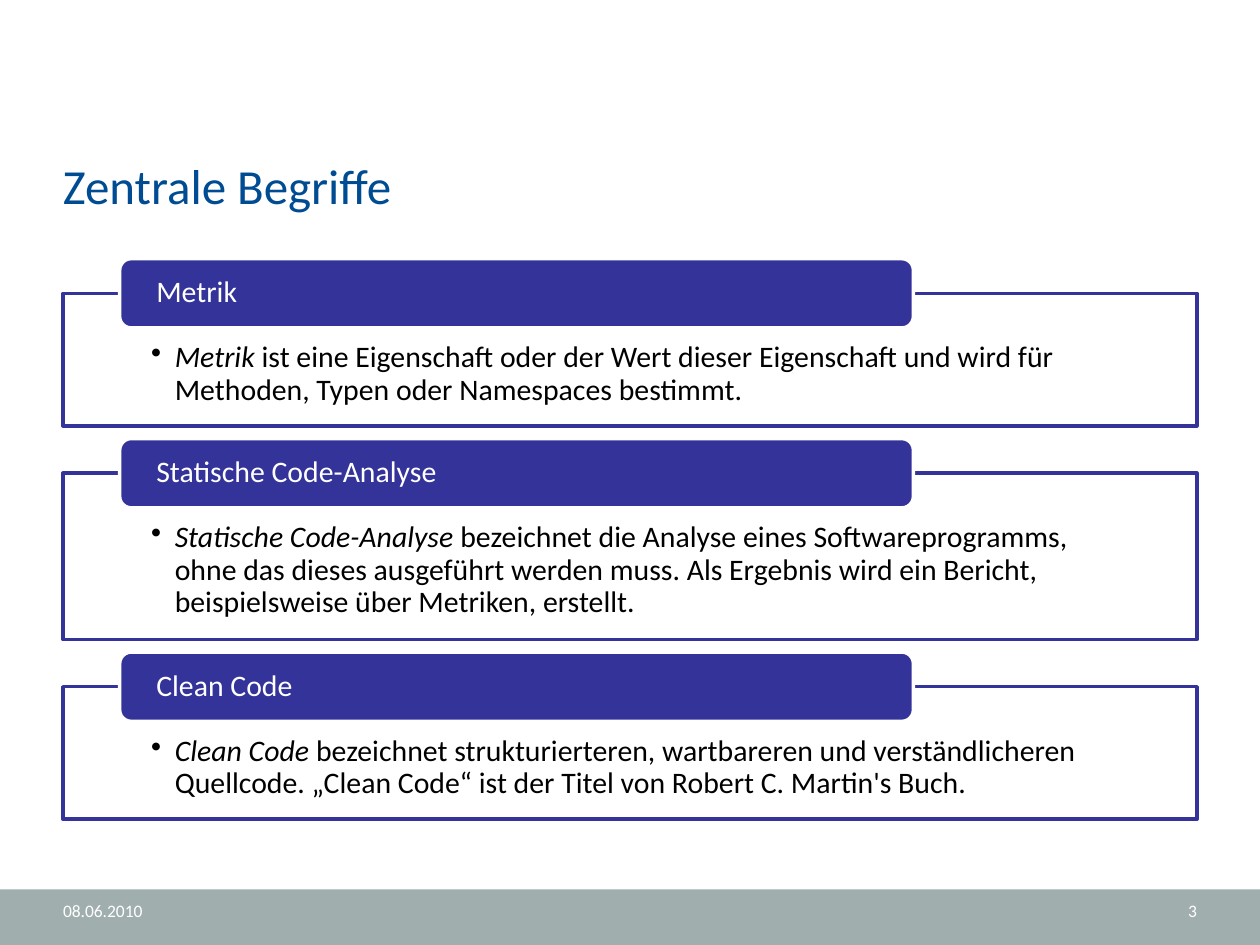
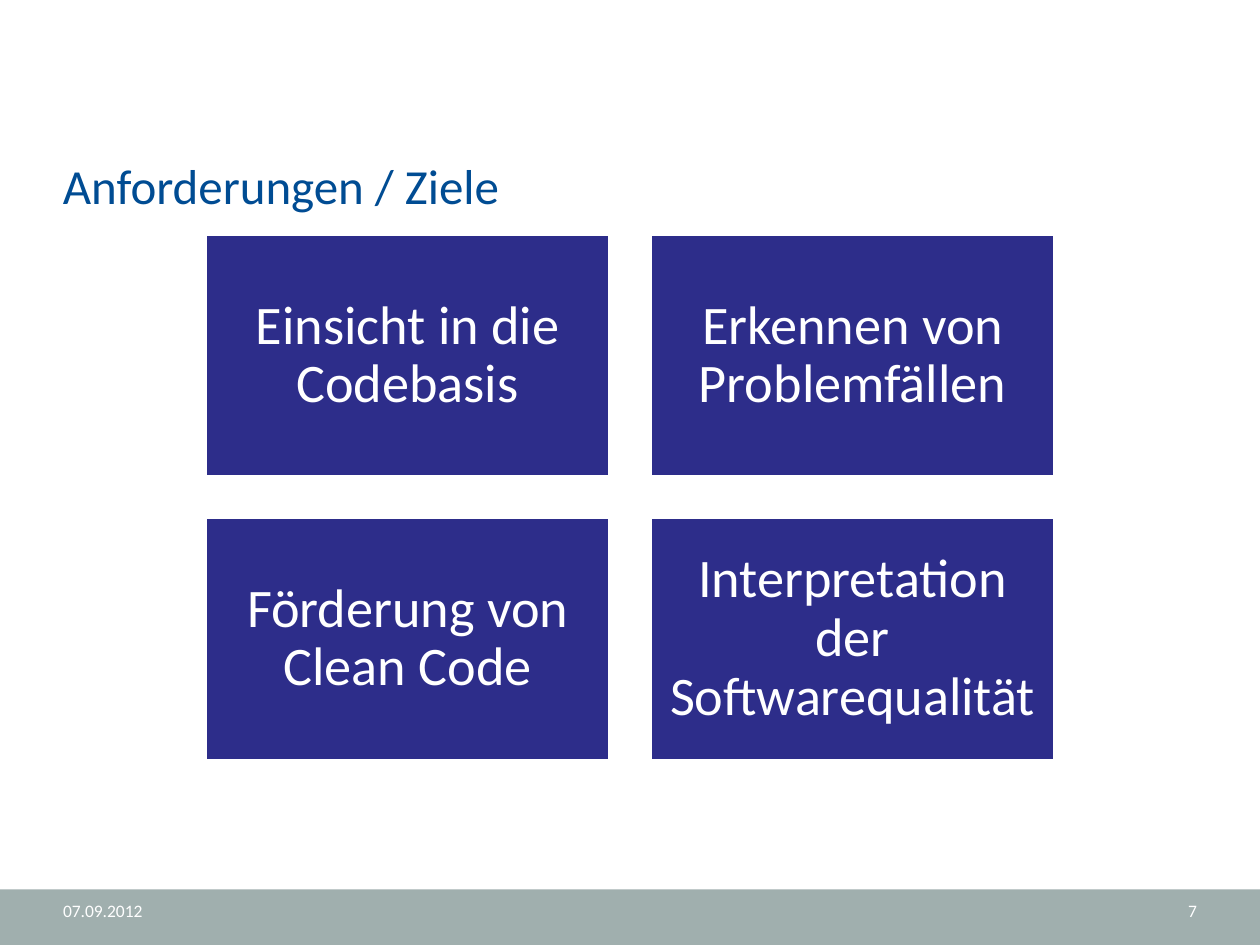
from lxml import etree
from pptx import Presentation
from pptx.dml.color import RGBColor
from pptx.enum.shapes import MSO_SHAPE
from pptx.enum.text import MSO_ANCHOR, PP_ALIGN
from pptx.oxml.ns import qn
from pptx.util import Pt

RECT, ROUNDED = MSO_SHAPE.RECTANGLE, MSO_SHAPE.ROUNDED_RECTANGLE
TOP, MIDDLE, BOTTOM = MSO_ANCHOR.TOP, MSO_ANCHOR.MIDDLE, MSO_ANCHOR.BOTTOM
LEFT, CENTER, RIGHT = PP_ALIGN.LEFT, PP_ALIGN.CENTER, PP_ALIGN.RIGHT

FONT = "Calibri"
WHITE, BLACK = "FFFFFF", "000000"
TITLE_BLUE, TERM_BLUE, GOAL_BLUE, BAND_GREY = "004C93", "333399", "2D2D8A", "A0AFAE"

SLIDE_W, SLIDE_H = 720, 540
MARGIN = 36
CONTENT_W = SLIDE_W - 2 * MARGIN
BAND_H = 31.7

TERMS = [
    ("Metrik", "Metrik",
     " ist eine Eigenschaft oder der Wert dieser Eigenschaft und wird für "
     "Methoden, Typen oder Namespaces bestimmt.", 75.8),
    ("Statische Code-Analyse", "Statische Code-Analyse ",
     "bezeichnet die Analyse eines Softwareprogramms, ohne das dieses ausgeführt "
     "werden muss. Als Ergebnis wird ein Bericht, beispielsweise über Metriken, "
     "erstellt.", 95),
    ("Clean Code", "Clean Code ",
     "bezeichnet strukturierteren, wartbareren und verständlicheren Quellcode. "
     "„Clean Code“ ist der Titel von Robert C. Martin's Buch.", 75.8),
]
GOALS = [
    "Einsicht in die Codebasis", "Erkennen von Problemfällen",
    "Förderung von Clean Code", "Interpretation der Softwarequalität",
]


def color(hex_code):
    return RGBColor.from_string(hex_code)


def add_box(slide, kind, box, fill, line=None):
    shape = slide.shapes.add_shape(kind, *map(Pt, box))
    shape.shadow.inherit = False
    shape.fill.solid()
    shape.fill.fore_color.rgb = color(fill)
    if line:
        shape.line.color.rgb = color(line)
        shape.line.width = Pt(2)
    else:
        shape.line.fill.background()
    return shape


def write(shape, runs, size, ink, align=LEFT, anchor=TOP, insets=(0, 0, 0, 0),
          spacing=None):
    """Fill the shape with one paragraph and return that paragraph."""
    frame = shape.text_frame
    frame.word_wrap = True
    frame.vertical_anchor = anchor
    (frame.margin_left, frame.margin_top,
     frame.margin_right, frame.margin_bottom) = map(Pt, insets)
    paragraph = frame.paragraphs[0]
    paragraph.alignment = align
    paragraph.line_spacing = spacing
    paragraph.font.name = FONT
    paragraph.font.size = Pt(size)
    paragraph.font.color.rgb = color(ink)
    for text in runs:
        paragraph.add_run().text = text
    return paragraph


def add_label(slide, box, text, size, ink, **layout):
    write(slide.shapes.add_textbox(*map(Pt, box)), [text], size, ink, **layout)


def add_bullet(paragraph, indent):
    properties = paragraph._p.get_or_add_pPr()
    properties.set("marL", str(Pt(indent)))
    properties.set("indent", str(-Pt(indent)))
    # The bullet has to precede the default run properties.
    bullet = etree.Element(qn("a:buChar"), char="•")
    properties.find(qn("a:defRPr")).addprevious(bullet)


def add_framed_slide(deck, title, date, number):
    """Add a slide with the shared title, footer band, date and page number."""
    slide = deck.slides.add_slide(deck.slide_layouts[6])
    band_top = SLIDE_H - BAND_H
    add_box(slide, RECT, (0, band_top, SLIDE_W, BAND_H), BAND_GREY)
    add_label(slide, (MARGIN, 49, CONTENT_W, 73.4), title, 28, TITLE_BLUE,
              anchor=BOTTOM)
    footer_w = 168
    for left, text, align in ((MARGIN, date, LEFT),
                              (SLIDE_W - MARGIN - footer_w, number, RIGHT)):
        add_label(slide, (left, band_top + 5.8, footer_w, 17.3), text, 10, WHITE,
                  align=align)
    return slide


def add_term(slide, box, term, lead, definition):
    """Outlined definition with a heading tab straddling its top edge."""
    left, top, width, _ = box
    body = add_box(slide, RECT, box, WHITE, TERM_BLUE)
    paragraph = write(body, [lead, definition], 17, BLACK,
                      insets=(50.4, 28, 50.4, 9.4), spacing=0.9)
    paragraph.runs[0].font.italic = True
    add_bullet(paragraph, 13.5)

    tab_h = 39.6
    tab = add_box(slide, ROUNDED,
                  (left + 0.05 * width, top - tab_h / 2, 0.7 * width, tab_h),
                  TERM_BLUE, WHITE)
    write(tab, [term], 17, WHITE, anchor=MIDDLE, insets=(19, 0, 19, 0), spacing=0.9)


def add_term_list(slide, left, top, width):
    gap = 27
    for term, lead, definition, height in TERMS:
        add_term(slide, (left, top, width, height), term, lead, definition)
        top += height + gap


def add_goal_grid(slide, left, top, width):
    columns, gap = 2, 23.2
    tile_w = (width - gap * (columns - 1)) / columns
    tile_h = 0.6 * tile_w
    for index, goal in enumerate(GOALS):
        row, column = divmod(index, columns)
        tile = add_box(slide, RECT,
                       (left + column * (tile_w + gap), top + row * (tile_h + gap),
                        tile_w, tile_h), GOAL_BLUE, WHITE)
        write(tile, [goal], 31, WHITE, align=CENTER, anchor=MIDDLE,
              insets=(9.3,) * 4, spacing=0.9)


def main():
    deck = Presentation()
    deck.slide_width, deck.slide_height = Pt(SLIDE_W), Pt(SLIDE_H)

    terms = add_framed_slide(deck, "Zentrale Begriffe", "08.06.2010", "3")
    add_term_list(terms, MARGIN, 167.6, CONTENT_W)

    goals = add_framed_slide(deck, "Anforderungen / Ziele", "07.09.2012", "7")
    grid_w = 485.4
    add_goal_grid(goals, (SLIDE_W - grid_w) / 2, 134, grid_w)

    deck.save("out.pptx")


if __name__ == "__main__":
    main()
